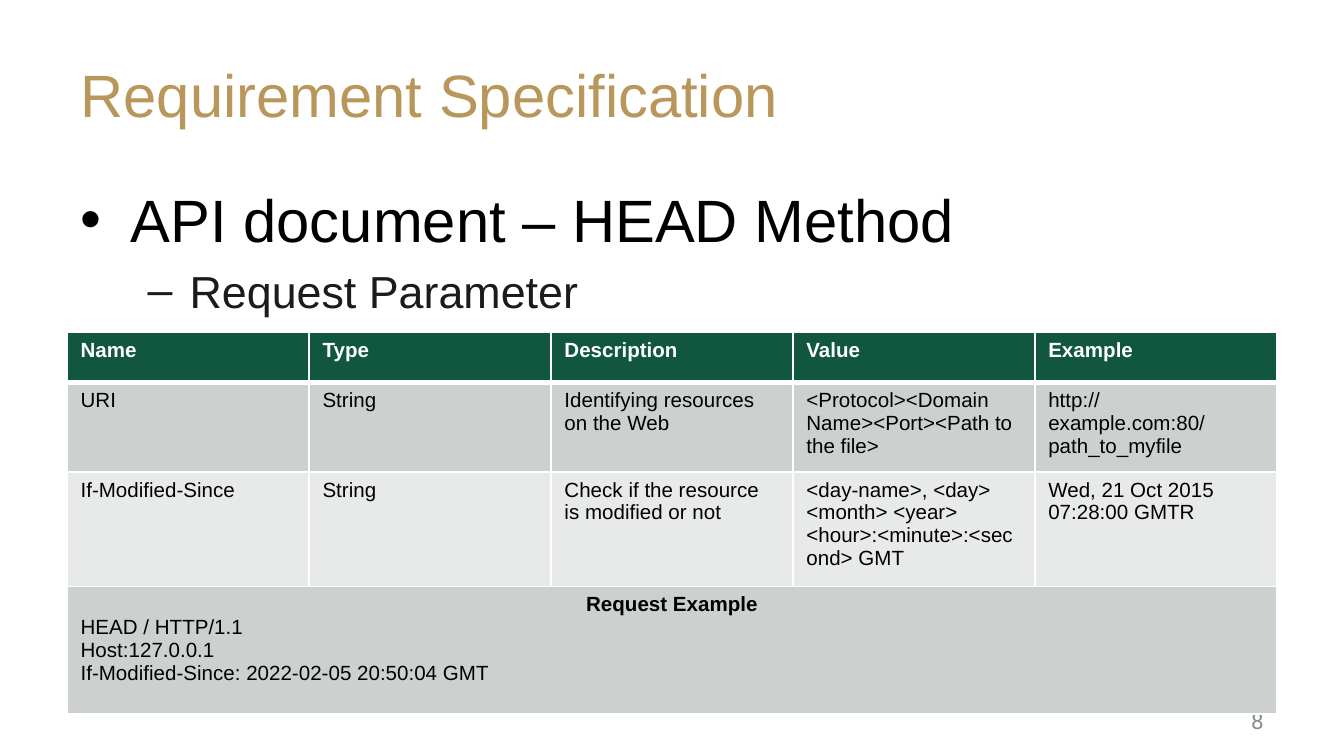
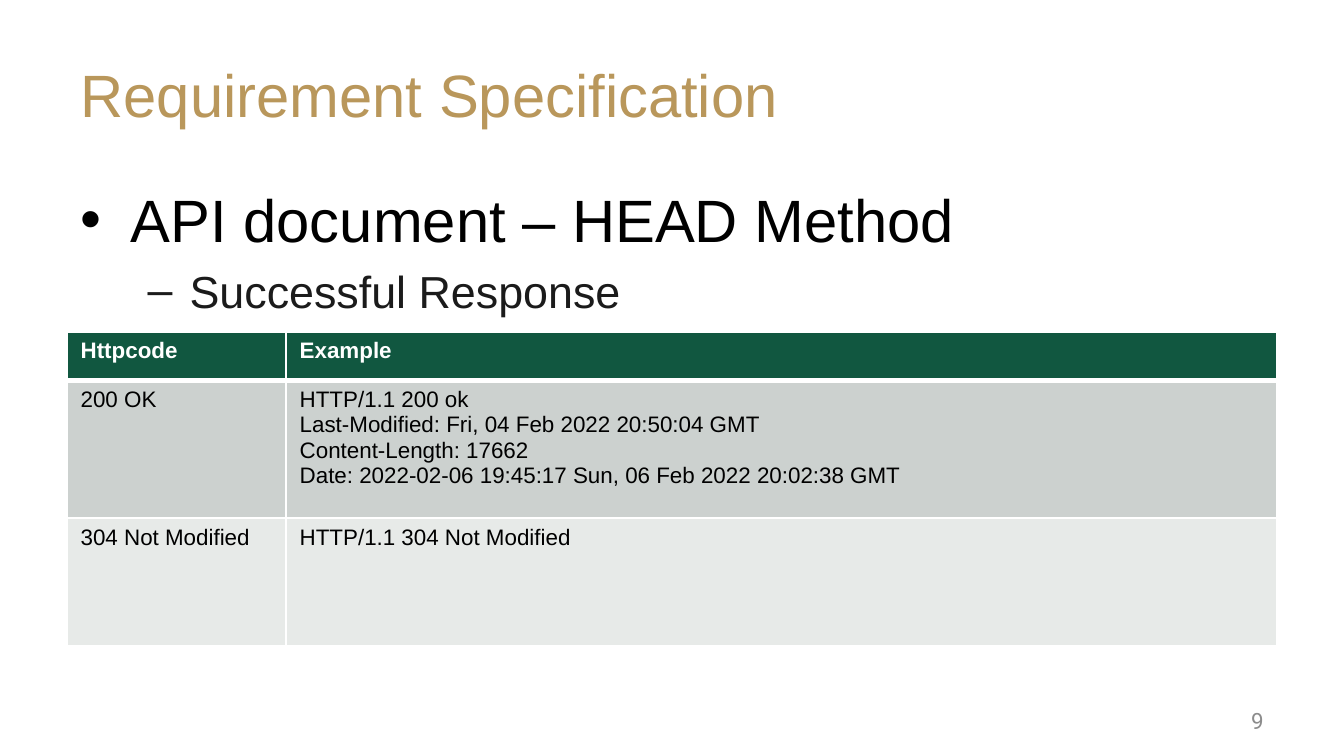
"""Build two API specification slides with tables for the HEAD method."""
from dataclasses import dataclass

from lxml.etree import SubElement
from pptx import Presentation
from pptx.dml.color import RGBColor
from pptx.enum.text import MSO_ANCHOR, MSO_AUTO_SIZE, PP_ALIGN
from pptx.oxml.ns import qn
from pptx.slide import Slide
from pptx.table import _Cell
from pptx.text.text import TextFrame, _Paragraph
from pptx.util import Emu, Pt

GOLD, GREEN, WHITE, BLACK = "B9975B", "115740", "FFFFFF", "000000"
INK, GRAY = "1B1B1B", "8C8C8C"
BANDS = ("CCD1CF", "E7EAE8")
LEFT, WIDE = 48, 864


@dataclass(frozen=True)
class Style:
    size: int
    color: str
    font: str = "Arial"
    bold: bool = False


@dataclass(frozen=True)
class Bullet:
    mark: str
    level: int
    left: int
    hang: int
    style: Style


@dataclass(frozen=True)
class Line:
    text: str
    bold: bool = False
    align: PP_ALIGN = PP_ALIGN.LEFT


@dataclass(frozen=True)
class Grid:
    size: int
    shares: tuple[int, ...]
    highs: tuple[int, ...]
    rows: tuple[tuple[tuple[Line, ...], ...], ...]


@dataclass(frozen=True)
class Page:
    number: int
    topic: str
    grid: Grid


TITLE = Style(32, GOLD)
FOOT = Style(12, GRAY, "Roboto")
MAIN = Bullet("•", 0, 36, 36, Style(32, BLACK))
SUB = Bullet("–", 1, 78, 30, Style(24, INK))


def px(count: int) -> Emu:
    """Turn pixels into EMU."""
    return Emu(count * 9525)


def paint(code: str) -> RGBColor:
    """Turn a hex string into a colour."""
    return RGBColor.from_string(code)


def write(para: _Paragraph, text: str, style: Style,
          align: PP_ALIGN = PP_ALIGN.LEFT) -> None:
    """Add one styled run to a paragraph."""
    para.alignment = align
    run = para.add_run()
    run.text = text
    font = run.font
    font.size, font.name, font.bold = Pt(style.size), style.font, style.bold
    font.color.rgb = paint(style.color)


def add_box(slide: Slide, top: int, high: int,
            left: int = LEFT, wide: int = WIDE) -> TextFrame:
    """Add a wrapping text box and return its frame."""
    box = slide.shapes.add_textbox(px(left), px(top), px(wide), px(high))
    box.text_frame.word_wrap = True
    return box.text_frame


def add_title(slide: Slide, text: str) -> None:
    """Place and fill the title."""
    title = slide.shapes.title
    title.left, title.top = px(LEFT), px(22)
    title.width, title.height = px(WIDE), px(90)
    frame = title.text_frame
    frame.auto_size = MSO_AUTO_SIZE.NONE
    frame.vertical_anchor = MSO_ANCHOR.MIDDLE
    write(frame.paragraphs[0], text, TITLE)


def add_point(para: _Paragraph, text: str, kind: Bullet) -> None:
    """Fill a paragraph as a bullet point."""
    para.level = kind.level
    write(para, text, kind.style)
    props = para._p.get_or_add_pPr()
    props.set("marL", str(px(kind.left)))
    props.set("indent", str(-px(kind.hang)))
    gap = SubElement(props, qn("a:spcBef"))
    SubElement(gap, qn("a:spcPct"), val="20000")
    SubElement(props, qn("a:buFont"), typeface="Arial")
    SubElement(props, qn("a:buChar"), char=kind.mark)


def edge(cell: _Cell, row: int) -> None:
    """Draw white borders, thick below the header row."""
    props = cell._tc.get_or_add_tcPr()
    thick = {"T": 3 if row == 1 else 1, "B": 3 if row == 0 else 1}
    for side in "LRTB":
        line = SubElement(props, qn(f"a:ln{side}"), w=str(Pt(thick.get(side, 1))))
        fill = SubElement(line, qn("a:solidFill"))
        SubElement(fill, qn("a:srgbClr"), val=WHITE)


def add_grid(slide: Slide, grid: Grid) -> None:
    """Add a table with a header and banded rows."""
    count = len(grid.shares)
    table = slide.shapes.add_table(
        len(grid.rows), count, px(LEFT), px(237), px(WIDE), px(sum(grid.highs))).table
    for col, share in zip(table.columns, grid.shares):
        col.width = Emu(px(WIDE) * share // sum(grid.shares))
    for row, (high, cells) in enumerate(zip(grid.highs, grid.rows)):
        table.rows[row].height = px(high)
        for col in range(count):
            cell = table.cell(row, col)
            edge(cell, row)
            cell.fill.solid()
            cell.fill.fore_color.rgb = paint(BANDS[(row - 1) % 2] if row else GREEN)
        if len(cells) < count:
            table.cell(row, len(cells) - 1).merge(table.cell(row, count - 1))
        for col, lines in enumerate(cells):
            frame = table.cell(row, col).text_frame
            for spot, line in enumerate(lines):
                para = frame.add_paragraph() if spot else frame.paragraphs[0]
                style = Style(grid.size, BLACK if row else WHITE,
                              bold=line.bold or row == 0)
                write(para, line.text, style, line.align)


def add_page(deck: Presentation, page: Page) -> None:
    """Add one slide with title, number, points and table."""
    slide = deck.slides.add_slide(deck.slide_layouts[5])
    add_title(slide, "Requirement Specification")
    foot = add_box(slide, 500, 29, 688, 224)
    foot.vertical_anchor = MSO_ANCHOR.MIDDLE
    write(foot.paragraphs[0], str(page.number), FOOT, PP_ALIGN.RIGHT)
    body = add_box(slide, 126, 356)
    add_point(body.paragraphs[0], "API document – HEAD Method", MAIN)
    add_point(body.add_paragraph(), page.topic, SUB)
    add_grid(slide, page.grid)


def cells(*texts: str) -> tuple[tuple[Line, ...], ...]:
    """Make a row of cells, one line per line break."""
    return tuple(tuple(Line(row) for row in text.split("\n")) for text in texts)


REQUEST = Grid(11, (1,) * 5, (36, 64, 82, 91), (
    cells("Name", "Type", "Description", "Value", "Example"),
    cells("URI", "String", "Identifying resources on the Web",
          "<Protocol><Domain Name><Port><Path to the file>",
          "http://example.com:80/path_to_myfile"),
    cells("If-Modified-Since", "String", "Check if the resource is modified or not",
          "<day-name>, <day> <month> <year> <hour>:<minute>:<second> GMT",
          "Wed, 21 Oct 2015 07:28:00 GMTR"),
    ((Line("Request Example", True, PP_ALIGN.CENTER),
      Line("HEAD / HTTP/1.1"),
      Line("Host:127.0.0.1"),
      Line("If-Modified-Since: 2022-02-05 20:50:04 GMT")),),
))
REPLY = Grid(12, (163, 737), (35, 98, 91), (
    cells("Httpcode", "Example"),
    cells("200 OK",
          "HTTP/1.1 200 ok\n"
          "Last-Modified: Fri, 04 Feb 2022 20:50:04 GMT\n"
          "Content-Length: 17662\n"
          "Date: 2022-02-06 19:45:17 Sun, 06 Feb 2022 20:02:38 GMT"),
    cells("304 Not Modified", "HTTP/1.1 304 Not Modified"),
))
PAGES = (Page(8, "Request Parameter", REQUEST), Page(9, "Successful Response", REPLY))


def main() -> None:
    """Build and save the deck."""
    deck = Presentation()
    deck.slide_width, deck.slide_height = px(960), px(540)
    for page in PAGES:
        add_page(deck, page)
    deck.save("out.pptx")


if __name__ == "__main__":
    main()
